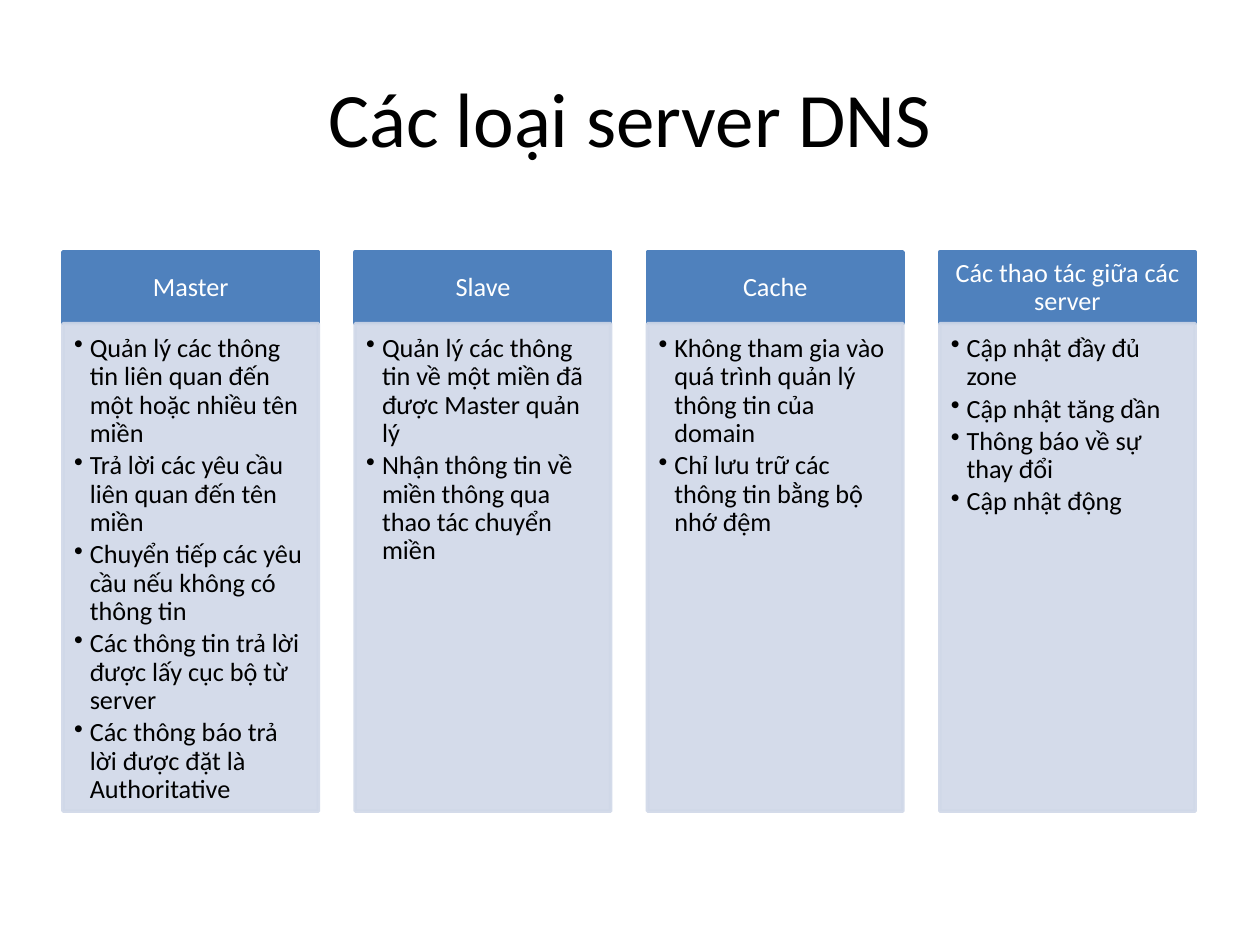
import pptx
import pptx.dml.color
import pptx.enum.shapes
import pptx.enum.text
import pptx.oxml
import pptx.oxml.ns
import pptx.util

Pt = pptx.util.Pt
ALIGN = pptx.enum.text.PP_ALIGN
ANCHOR = pptx.enum.text.MSO_ANCHOR

COLORS = {"header": "4F81BD", "panel": "D0D8E8", "dark": "000000", "light": "FFFFFF"}

LEFT, TOP, WIDTH, PITCH = 36, 144, 146, 167
HEADER_HEIGHT, PANEL_HEIGHT = 41, 278.6

TITLE_FRAME = {"word_wrap": True, "vertical_anchor": ANCHOR.MIDDLE}
HEADER_FRAME = TITLE_FRAME | {
    "margin_left": Pt(8.4), "margin_right": Pt(8.4),
    "margin_top": Pt(4.8), "margin_bottom": Pt(4.8),
}
PANEL_FRAME = {
    "word_wrap": True, "vertical_anchor": ANCHOR.TOP,
    "margin_left": Pt(6.3), "margin_right": Pt(8.4),
    "margin_top": Pt(6.3), "margin_bottom": Pt(9.45),
}
TITLE_PARAGRAPH = {"alignment": ALIGN.CENTER}
HEADER_PARAGRAPH = {"alignment": ALIGN.CENTER, "line_spacing": 0.9}
ITEM_PARAGRAPH = {"alignment": ALIGN.LEFT, "line_spacing": 0.9, "space_after": Pt(2.25)}

SERVER_TYPES = {
    "Master": [
        "Quản lý các thông tin liên quan đến một hoặc nhiều tên miền",
        "Trả lời các yêu cầu liên quan đến tên miền",
        "Chuyển tiếp các yêu cầu nếu không có thông tin",
        "Các thông tin trả lời được lấy cục bộ từ server",
        "Các thông báo trả lời được đặt là Authoritative",
    ],
    "Slave": [
        "Quản lý các thông tin về một miền đã được Master quản lý",
        "Nhận thông tin về miền thông qua thao tác chuyển miền",
    ],
    "Cache": [
        "Không tham gia vào quá trình quản lý thông tin của domain",
        "Chỉ lưu trữ các thông tin bằng bộ nhớ đệm",
    ],
    "Các thao tác giữa các server": [
        "Cập nhật đầy đủ zone",
        "Cập nhật tăng dần",
        "Thông báo về sự thay đổi",
        "Cập nhật động",
    ],
}


def rgb(name):
    return pptx.dml.color.RGBColor.from_string(COLORS[name])


def apply_format(target, values):
    for attribute, value in values.items():
        setattr(target, attribute, value)


def add_bullet(paragraph):
    properties = paragraph._p.get_or_add_pPr()
    properties.set("marL", str(Pt(9)))
    properties.set("indent", str(-Pt(9)))
    properties.append(pptx.oxml.parse_xml(
        f'<a:buChar {pptx.oxml.ns.nsdecls("a")} char="•"/>'))


def write_lines(frame, lines, frame_format, paragraph_format, size, color, bullets=False):
    apply_format(frame, frame_format)
    for index, line in enumerate(lines):
        paragraph = frame.add_paragraph() if index else frame.paragraphs[0]
        if bullets:
            add_bullet(paragraph)
        apply_format(paragraph, paragraph_format)
        run = paragraph.add_run()
        run.text = line
        apply_format(run.font, {"name": "Calibri", "size": Pt(size)})
        run.font.color.rgb = rgb(color)


def set_opacity(block, percent):
    """Make both the fill and the outline of a block partly transparent."""
    for color in block._element.spPr.iter(pptx.oxml.ns.qn("a:srgbClr")):
        color.append(pptx.oxml.parse_xml(
            f'<a:alpha {pptx.oxml.ns.nsdecls("a")} val="{percent * 1000}"/>'))


def add_block(slide, left, top, height, color):
    block = slide.shapes.add_shape(
        pptx.enum.shapes.MSO_SHAPE.RECTANGLE, Pt(left), Pt(top), Pt(WIDTH), Pt(height))
    block.shadow.inherit = False
    block.fill.solid()
    block.fill.fore_color.rgb = rgb(color)
    block.line.color.rgb = rgb(color)
    block.line.width = Pt(2)
    return block


def add_title(slide, text):
    title = slide.shapes.add_textbox(Pt(36), Pt(21.6), Pt(648), Pt(90))
    write_lines(title.text_frame, [text], TITLE_FRAME, TITLE_PARAGRAPH, 44, "dark")


def add_column(slide, left, heading, items):
    header = add_block(slide, left, TOP, HEADER_HEIGHT, "header")
    write_lines(header.text_frame, [heading], HEADER_FRAME, HEADER_PARAGRAPH, 15, "light")
    panel = add_block(slide, left, TOP + HEADER_HEIGHT, PANEL_HEIGHT, "panel")
    set_opacity(panel, 90)
    write_lines(panel.text_frame, items, PANEL_FRAME, ITEM_PARAGRAPH, 15, "dark", bullets=True)


def main():
    deck = pptx.Presentation()
    apply_format(deck, {"slide_width": Pt(720), "slide_height": Pt(540)})
    slide = deck.slides.add_slide(deck.slide_layouts[6])
    add_title(slide, "Các loại server DNS")
    for index, (heading, items) in enumerate(SERVER_TYPES.items()):
        add_column(slide, LEFT + index * PITCH, heading, items)
    deck.save("out.pptx")


if __name__ == "__main__":
    main()
